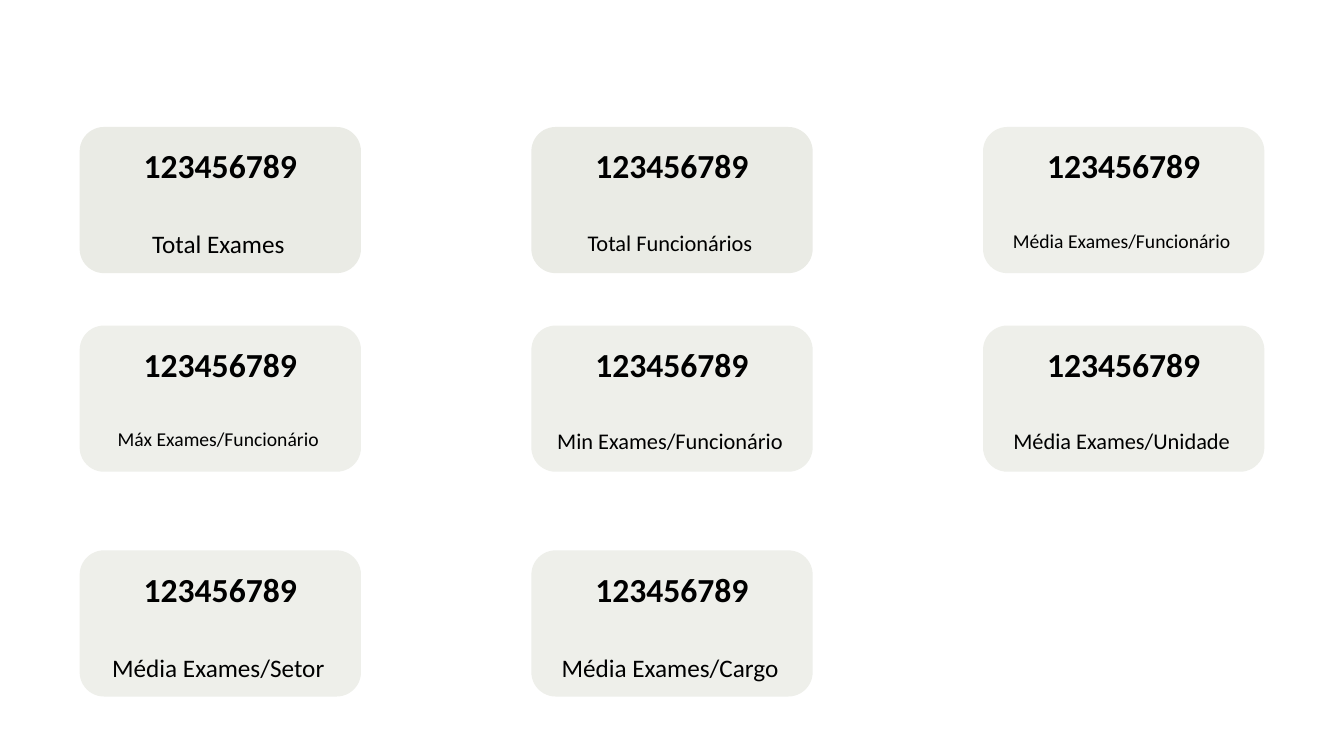
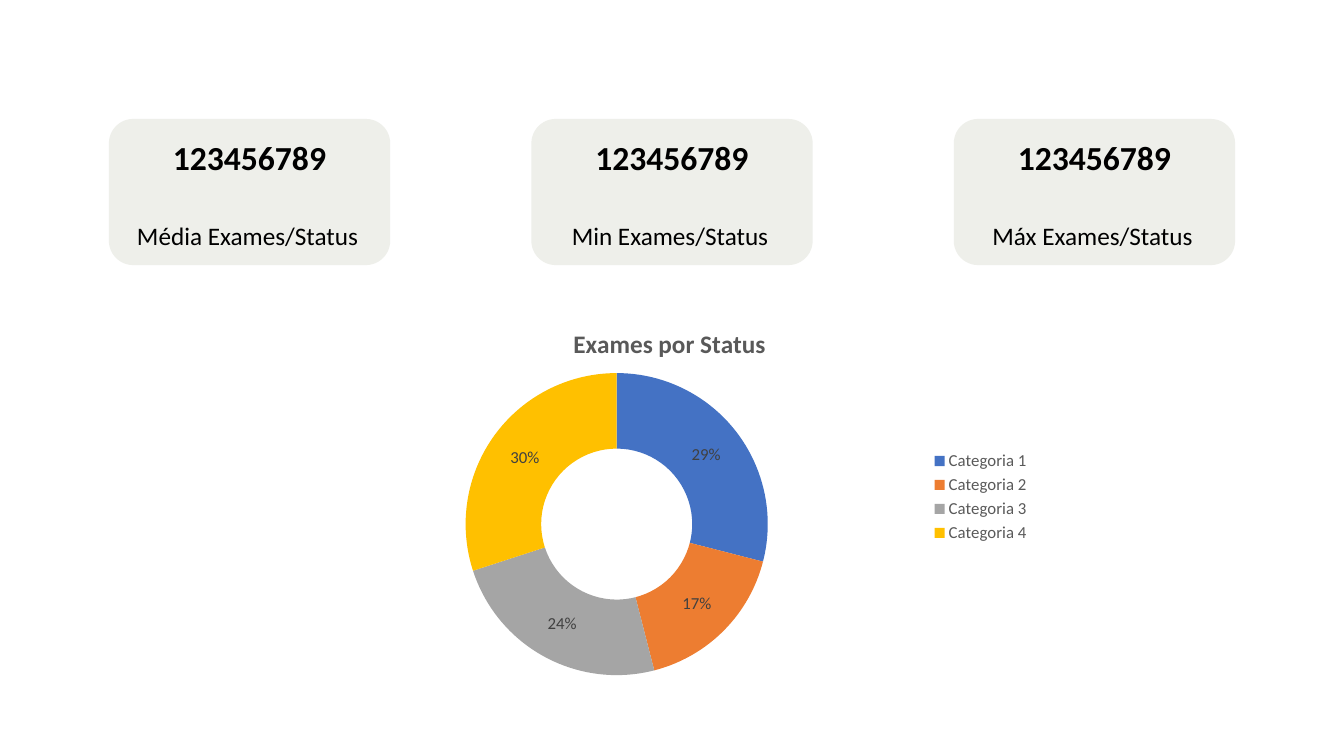
import pptx
import pptx.util
import pptx.chart.data
import pptx.dml.color
import pptx.enum.chart
import pptx.enum.shapes
import pptx.enum.text
import pptx.oxml
from dataclasses import dataclass
from pptx.util import Inches

VALUE = "123456789"
TOTALS = [
    (1.26, 0.79, 4.48, [
        ("Total Exames", 18, "EAEBE5"),
        ("Total Funcionários", 16, "EAEBE5"),
        ("Média Exames/Funcionário", 14, "EEEFEA"),
    ]),
    (3.23, 0.79, 4.48, [
        ("Máx Exames/Funcionário", 14, "EEEFEA"),
        ("Min Exames/Funcionário", 16, "EEEFEA"),
        ("Média Exames/Unidade", 16, "EEEFEA"),
    ]),
    (5.46, 0.79, 4.48, [
        ("Média Exames/Setor", 18, "EEEFEA"),
        ("Média Exames/Cargo", 18, "EEEFEA"),
    ]),
]
STATUS = [
    (1.18, 1.08, 4.19, [
        ("Média Exames/Status", 18, "EEEFEA"),
        ("Min Exames/Status", 18, "EEEFEA"),
        ("Máx Exames/Status", 18, "EEEFEA"),
    ]),
]
TITLE = "Exames por Status"
SHARES = [
    ("Categoria 1", 29, "4472C4"),
    ("Categoria 2", 17, "ED7D31"),
    ("Categoria 3", 24, "A5A5A5"),
    ("Categoria 4", 30, "FFC000"),
]


@dataclass(frozen=True)
class Theme:
    face: str = "Calibri"
    ink: str = "000000"
    grey: str = "595959"
    label: str = "404040"
    paper: str = "FFFFFF"
    value: int = 24
    title: int = 18
    small: int = 12
    alpha: int = 90


THEME = Theme()
SHAPE = pptx.enum.shapes.MSO_SHAPE


def rgb(code):
    return pptx.dml.color.RGBColor.from_string(code)


def style(font, size, color, bold=False):
    font.name = THEME.face
    font.size = pptx.util.Pt(size)
    font.bold = bold
    font.color.rgb = rgb(color)


def block(shapes, kind, box, color):
    shape = shapes.add_shape(kind, *map(Inches, box))
    shape.shadow.inherit = False
    shape.fill.solid()
    shape.fill.fore_color.rgb = rgb(color)
    shape.line.fill.background()
    return shape


def write(shapes, box, text, size, bold=False):
    frame = shapes.add_textbox(*map(Inches, box)).text_frame
    frame.word_wrap = True
    frame.auto_size = pptx.enum.text.MSO_AUTO_SIZE.SHAPE_TO_FIT_TEXT
    para = frame.paragraphs[0]
    para.alignment = pptx.enum.text.PP_ALIGN.CENTER
    run = para.add_run()
    run.text = text
    style(run.font, size, THEME.ink, bold)


def add_card(slide, left, top, label, size, color):
    shapes = slide.shapes.add_group_shape().shapes
    block(shapes, SHAPE.ROUNDED_RECTANGLE, (left, top, 2.79, 1.45), color)
    write(shapes, (left, top + 0.13, 2.79, 0.5), VALUE, THEME.value, True)
    high = 0.1 + size / 60
    write(shapes, (left + 0.15, top + 0.96, 2.45, high), label, size)


def add_page(deck, rows):
    slide = deck.slides.add_slide(deck.slide_layouts[6])
    panel = block(slide.shapes, SHAPE.RECTANGLE,
                  (0.45, 0.94, 12.43, 6.28), THEME.paper)
    panel.line.color.rgb = rgb(THEME.paper)
    panel.line.width = pptx.util.Pt(1)
    tint = panel.fill._xPr.find(".//" + pptx.oxml.ns.qn("a:srgbClr"))
    alpha = pptx.oxml.xmlchemy.OxmlElement("a:alpha")
    alpha.set("val", str(THEME.alpha * 1000))
    tint.append(alpha)
    for top, left, step, cards in rows:
        for col, card in enumerate(cards):
            add_card(slide, left + col * step, top, *card)
    return slide


def place(node, index, **parts):
    old = node.find(pptx.oxml.ns.qn("c:layout"))
    if old is not None:
        node.remove(old)
    layout = pptx.oxml.xmlchemy.OxmlElement("c:layout")
    manual = pptx.oxml.xmlchemy.OxmlElement("c:manualLayout")
    layout.append(manual)
    for tag, val in parts.items():
        item = pptx.oxml.xmlchemy.OxmlElement("c:" + tag)
        item.set("val", str(val))
        manual.append(item)
    node.insert(index, layout)


def add_ring(slide):
    data = pptx.chart.data.CategoryChartData()
    data.categories = [name for name, _, _ in SHARES]
    data.add_series("Series 1", [share for _, share, _ in SHARES])
    box = map(Inches, (3.01, 3, 7.31, 3.86))
    kind = pptx.enum.chart.XL_CHART_TYPE.DOUGHNUT
    chart = slide.shapes.add_chart(kind, *box, data).chart
    style(chart.font, 10, THEME.ink)

    chart.has_title = True
    run = chart.chart_title.text_frame.paragraphs[0].add_run()
    run.text = TITLE
    style(run.font, THEME.title, THEME.grey, True)
    place(chart.chart_title.element, 1,
          xMode="edge", yMode="edge", x=0.36, y=0.05)

    chart.has_legend = True
    chart.legend.position = pptx.enum.chart.XL_LEGEND_POSITION.RIGHT
    chart.legend.include_in_layout = False
    style(chart.legend.font, THEME.small, THEME.grey)

    plot = chart.plots[0]
    plot.vary_by_categories = True
    for index, (_, _, color) in enumerate(SHARES):
        fill = plot.series[0].points[index].format.fill
        fill.solid()
        fill.fore_color.rgb = rgb(color)
    plot.has_data_labels = True
    labels = plot.data_labels
    labels.show_value = False
    labels.show_percentage = True
    labels.number_format = "0%"
    labels.number_format_is_linked = False
    style(labels.font, THEME.small, THEME.label)
    area = chart.element.find(".//" + pptx.oxml.ns.qn("c:plotArea"))
    place(area, 0, layoutTarget="inner", xMode="edge", yMode="edge",
          x=0.22, y=0.18, w=0.41, h=0.78)


def main():
    deck = pptx.Presentation()
    deck.slide_width = Inches(13.33)
    deck.slide_height = Inches(7.5)
    add_page(deck, TOTALS)
    add_ring(add_page(deck, STATUS))
    deck.save("out.pptx")


if __name__ == "__main__":
    main()
